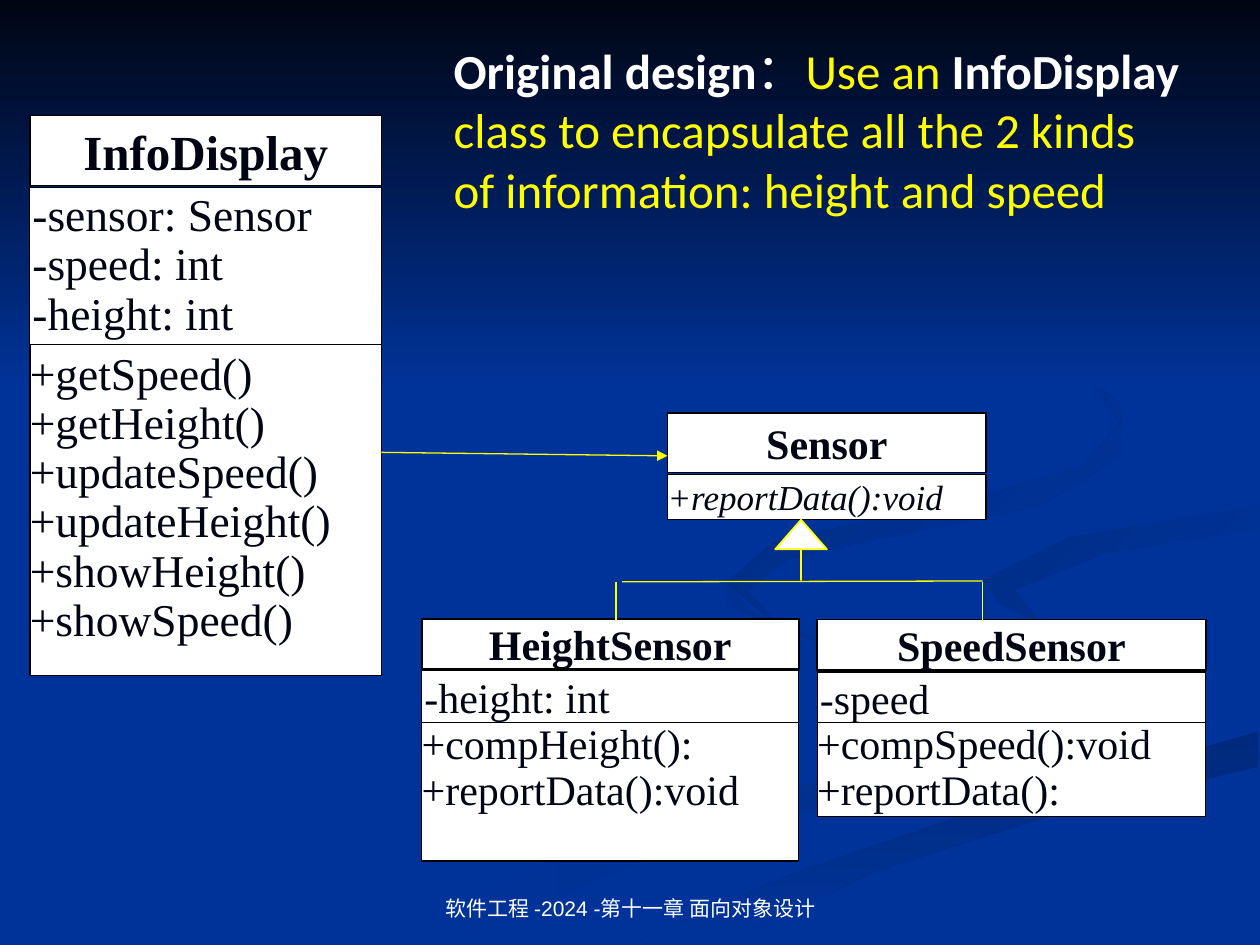
from pptx import Presentation
from pptx.dml.color import RGBColor
from pptx.enum.shapes import MSO_CONNECTOR, MSO_SHAPE
from pptx.enum.text import MSO_ANCHOR, MSO_AUTO_SIZE, PP_ALIGN
from pptx.oxml.ns import qn
from pptx.util import Pt
from lxml import etree

RECT, ARROW = MSO_SHAPE.RECTANGLE, MSO_SHAPE.RIGHT_ARROW
STRAIGHT = MSO_CONNECTOR.STRAIGHT
TOP, MIDDLE, BOTTOM = MSO_ANCHOR.TOP, MSO_ANCHOR.MIDDLE, MSO_ANCHOR.BOTTOM
LEFT, CENTER = PP_ALIGN.LEFT, PP_ALIGN.CENTER
NO_FIT = MSO_AUTO_SIZE.NONE
NAVY, BLUE, WHITE, YELLOW, BLACK = "000514", "003399", "FFFFFF", "FFFF00", "000000"


def rgb(code):
    return RGBColor.from_string(code)


def write(sp, lines, font="Times New Roman", size=24, color=NAVY, bold=False, italic=False,
          align=LEFT, anchor=TOP, insets=(7.2, 3.6), spacing=1.0, before=0, hang=0):
    """Fill a shape with lines; a line is a string or a list of (text, colour, bold) runs."""
    tf = sp.text_frame
    tf.word_wrap, tf.auto_size, tf.vertical_anchor = True, NO_FIT, anchor
    tf.margin_left = tf.margin_right = Pt(insets[0])
    tf.margin_top = tf.margin_bottom = Pt(insets[1])
    for i, line in enumerate(lines):
        p = tf.paragraphs[0] if i == 0 else tf.add_paragraph()
        p.alignment, p.line_spacing = align, spacing
        p.space_before = Pt(before if i else 0)
        if hang:
            pPr = p._p.get_or_add_pPr()
            pPr.set("marL", str(Pt(hang)))
            pPr.set("indent", str(-Pt(hang)))
            etree.SubElement(pPr, qn("a:buNone"))
        runs = [(line, color, bold)] if isinstance(line, str) else line
        for text, run_color, run_bold in runs:
            r = p.add_run()
            r.text = text
            r.font.name, r.font.size = font, Pt(size)
            r.font.bold, r.font.italic = run_bold, italic
            r.font.color.rgb = rgb(run_color)


prs = Presentation()
prs.slide_width, prs.slide_height = Pt(720), Pt(540)
s = prs.slides.add_slide(prs.slide_layouts[1])
s.background.fill.solid()
s.background.fill.fore_color.rgb = rgb(BLUE)
title, body = s.placeholders
title.element.getparent().remove(title.element)

# Background: start colour, end colour, clockwise angle, outline
backdrop = [
    (BLUE, "002E8B", 0, [
        (562, 398), (491, 374), (428, 349), (414, 330), (415, 346), (471, 369), (562, 400),
        (562, 417), (469, 446), (300, 497), (216, 539), (260, 539), (359, 495), (487, 456),
        (562, 436), (576, 418)]),
    (BLUE, "002E8B", 45, [
        (679, 410), (639, 385), (536, 353), (521, 334), (532, 356), (625, 392), (661, 418),
        (644, 436), (677, 418)]),
    ("002A7D", BLUE, 90, [
        (362, 539), (411, 539), (500, 498), (591, 469), (719, 438), (719, 418), (550, 466),
        (454, 499)]),
    ("002D86", BLUE, 45, [
        (562, 331), (570, 344), (595, 357), (580, 337), (632, 316), (719, 302), (719, 289),
        (611, 307)]),
    ("002B82", BLUE, 45, [
        (492, 310), (594, 289), (640, 261), (641, 233), (607, 198), (549, 168), (609, 201),
        (640, 241), (620, 266), (549, 287), (443, 309), (415, 333), (448, 360), (427, 338),
        (449, 320)]),
    (NAVY, BLUE, 90, [(0, 0), (0, 222), (720, 222), (720, 0)]),
]
for start, end, angle, outline in backdrop:
    builder = s.shapes.build_freeform(*outline[0], scale=Pt(1))
    builder.add_line_segments(outline[1:], close=True)
    sp = builder.convert_to_shape()
    sp.shadow.inherit = False
    sp.line.fill.background()
    sp.fill.gradient()
    sp.fill.gradient_angle = 360 - angle
    for stop, color in zip(sp.fill.gradient_stops, (start, end)):
        stop.color.rgb = rgb(color)

# Class boxes: left, width, then compartments as top, height, lines, format
heading = dict(bold=True, align=CENTER, anchor=MIDDLE, insets=(0, 0))
fields = dict(insets=(1.5, 0.5))
methods = dict(insets=(0, 0.5), spacing=0.9)
classes = [
    (17, 201, [
        (66, 40, ["InfoDisplay"], {**heading, "size": 28}),
        (184, 202, ["+getSpeed()", "+getHeight()", "+updateSpeed()", "+updateHeight()",
                    "+showHeight()", "+showSpeed()"],
         {**methods, "size": 26, "anchor": MIDDLE}),
        (107, 90, ["-sensor: Sensor", "-speed: int", "-height: int"],
         dict(size=26, spacing=0.9, insets=(1.5, 3)))]),
    (381.5, 182, [
        (236, 34, ["Sensor"], heading),
        (271, 26, ["+reportData():void"],
         dict(size=20, italic=True, insets=(0, 0.5)))]),
    (467, 222, [
        (354, 29, ["SpeedSensor"], heading),
        (384, 29, ["-speed"], fields),
        (413, 53.5, ["+compSpeed():void", "+reportData():"], methods)]),
    (241, 215.5, [
        (353.5, 29, ["HeightSensor"], heading),
        (383, 30, ["-height: int"], fields),
        (413, 79, ["+compHeight():", "+reportData():void"], methods)]),
]
for left, width, compartments in classes:
    for top, height, lines, fmt in compartments:
        sp = s.shapes.add_shape(RECT, Pt(left), Pt(top), Pt(width), Pt(height))
        sp.shadow.inherit = False
        sp.fill.solid()
        sp.fill.fore_color.rgb = rgb(WHITE)
        sp.line.color.rgb = rgb(BLACK)
        sp.line.width = Pt(1 if fmt is heading or "anchor" in fmt else 0.75)
        write(sp, lines, **fmt)

# Inheritance arrow with a bare stem
sp = s.shapes.add_shape(ARROW, Pt(440.5), Pt(299.5), Pt(34.5), Pt(29.5))
sp.rotation = 270
sp.adjustments[0], sp.adjustments[1] = 0, 0.57
sp.shadow.inherit = False
sp.fill.solid()
sp.fill.fore_color.rgb = rgb(WHITE)
sp.line.color.rgb, sp.line.width = rgb(YELLOW), Pt(1)

# Inheritance bar, its two drops, and the association
links = [(355.5, 332.5, 561.5, 332, False), (561.5, 332.5, 561.5, 355, False),
         (352, 332.5, 352, 355, False), (218, 258.5, 381.5, 260.5, True)]
for x1, y1, x2, y2, arrow in links:
    link = s.shapes.add_connector(STRAIGHT, Pt(x1), Pt(y1), Pt(x2), Pt(y2))
    link.line.color.rgb, link.line.width = rgb(YELLOW), Pt(0.75)
    spPr = link.element.spPr
    if arrow:
        etree.SubElement(spPr.find(qn("a:ln")), qn("a:tailEnd"), type="triangle")
    etree.SubElement(spPr, qn("a:effectLst"))

# Explanation, in front of the background
body.element.getparent().append(body.element)
body.left, body.top, body.width, body.height = Pt(252), Pt(26), Pt(448), Pt(113)
write(body, [
    [("Original design", WHITE, True), ("：", WHITE, False),
     ("Use an ", YELLOW, False), ("InfoDisplay", WHITE, True)],
    "class to encapsulate all the 2 kinds",
    "of information: height and speed",
], font="Calibri", size=28, color=YELLOW, spacing=0.8, before=7, hang=27)

footer = s.shapes.add_textbox(Pt(246), Pt(492), Pt(228.5), Pt(37.5))
write(footer, ["软件工程 -2024 -第十一章 面向对象设计"], font="Arial", size=12,
      color=WHITE, align=CENTER, anchor=BOTTOM)

prs.save("out.pptx")
